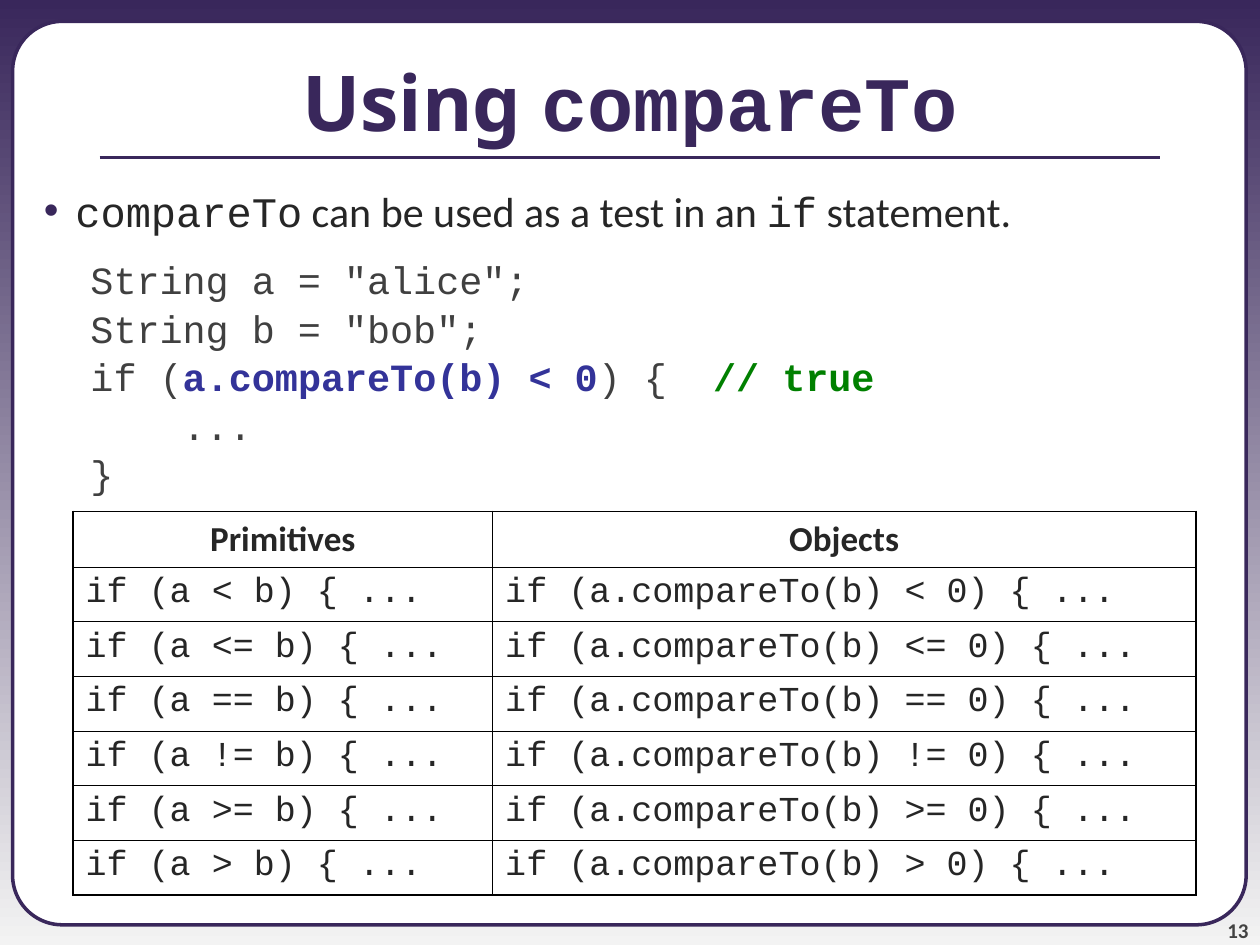
from lxml import etree
from pptx import Presentation
from pptx import util as u
from pptx.dml.color import RGBColor
from pptx.enum import shapes, text
from pptx.oxml.ns import qn

PURPLE = RGBColor(0x39, 0x27, 0x5B)
PALE = RGBColor(0xF3, 0xF3, 0xF3)
WHITE = RGBColor(0xFF, 0xFF, 0xFF)
BLACK = RGBColor(0, 0, 0)
INK = RGBColor(0x26, 0x26, 0x26)
GREY = RGBColor(0x42, 0x42, 0x42)
CODE_GREY = RGBColor(0x40, 0x40, 0x40)
BLUE = RGBColor(0x33, 0x33, 0x99)
GREEN = RGBColor(0, 0x80, 0)

SANS, MONO, HEADING = "Calibri", "Courier New", "Noto Sans"
OUTER, INNER = 1.08, 0.45

CODE = [
    [('String a = "alice";', None)],
    [('String b = "bob";', None)],
    [("if (", None), ("a.compareTo(b) < 0", BLUE), (") {  ", None), ("// true", GREEN)],
    [("    ...", None)],
    [("}", None)],
]
OPERATORS = ["<", "<=", "==", "!=", ">=", ">"]


def style(font, name=None, size=None, color=None, bold=None):
    if name:
        font.name = name
    if size:
        font.size = u.Pt(size)
    if color is not None:
        font.color.rgb = color
    if bold is not None:
        font.bold = bold


def add_span(para, wording, **look):
    span = para.add_run()
    span.text = wording
    style(span.font, **look)


def add_box(page, left, top, width, height, anchor=text.MSO_ANCHOR.TOP):
    box = page.shapes.add_textbox(*map(u.Inches, (left, top, width, height)))
    frame = box.text_frame
    frame.word_wrap = True
    frame.vertical_anchor = anchor
    return frame


def indent(para, margin, first_line):
    properties = para._p.get_or_add_pPr()
    properties.set("marL", str(u.Inches(margin)))
    properties.set("indent", str(u.Inches(first_line)))
    return properties


def add_bullet(para):
    properties = indent(para, 0.5, -0.25)
    color = etree.SubElement(properties, qn("a:buClr"))
    etree.SubElement(color, qn("a:srgbClr"), val=str(PURPLE))
    etree.SubElement(properties, qn("a:buFont"), typeface="Arial")
    etree.SubElement(properties, qn("a:buChar"), char="•")


def add_frame(page):
    """Gradient background, rounded white panel and title rule."""
    fill = page.background.fill
    fill.gradient()
    fill.gradient_angle = 270
    for stop, color, position in zip(fill.gradient_stops, (PURPLE, PALE), (0, 1)):
        stop.color.rgb = color
        stop.position = position

    panel = page.shapes.add_shape(shapes.MSO_SHAPE.ROUNDED_RECTANGLE,
                                  *map(u.Inches, (0.1, 0.17, 9.79, 7.17)))
    panel.adjustments[0] = 0.055
    panel.shadow.inherit = False
    panel.fill.solid()
    panel.fill.fore_color.rgb = WHITE
    panel.line.color.rgb = PURPLE
    panel.line.width = u.Pt(2)

    rule = page.shapes.add_connector(shapes.MSO_CONNECTOR.STRAIGHT,
                                     *map(u.Inches, (0.79, 1.25, 9.21, 1.25)))
    rule.line.color.rgb = PURPLE
    rule.line.width = u.Pt(2.25)
    etree.SubElement(rule._element.spPr, qn("a:effectLst"))


def add_page_number(page, number):
    frame = add_box(page, 9.08, 7.08, 0.83, 0.4, text.MSO_ANCHOR.BOTTOM)
    frame.margin_left = frame.margin_right = frame.margin_top = frame.margin_bottom = 0
    para = frame.paragraphs[0]
    para.text = number
    para.alignment = text.PP_ALIGN.RIGHT
    style(para.font, SANS, 12, GREY, True)


def add_title(page):
    para = add_box(page, 0, 0.17, 10, 1.25, text.MSO_ANCHOR.MIDDLE).paragraphs[0]
    para.alignment = text.PP_ALIGN.CENTER
    style(para.font, size=44, color=PURPLE, bold=True)
    add_span(para, "Using ", name=HEADING)
    add_span(para, "compareTo", name=MONO)


def add_body(page):
    frame = add_box(page, 0, 1.42, 10, 6.08)
    para = frame.paragraphs[0]
    add_bullet(para)
    style(para.font, size=24, color=INK)
    for wording, name in (("compareTo", MONO), (" can be used as a test in an ", SANS),
                          ("if", MONO), (" statement.", SANS)):
        add_span(para, wording, name=name)

    for number, line in enumerate(CODE):
        para = frame.add_paragraph()
        indent(para, 0.93, -0.31)
        para.line_spacing = 0.8
        para.space_before = u.Pt(6.6 if number else 17)
        style(para.font, MONO, 22, CODE_GREY)
        for wording, color in line:
            add_span(para, wording, color=color, bold=True if color else None)


def set_borders(cell, widths):
    properties = cell._tc.get_or_add_tcPr()
    for side, width in zip("LRTB", widths):
        line = etree.SubElement(properties, qn(f"a:ln{side}"), w=str(u.Pt(width)))
        fill = etree.SubElement(line, qn("a:solidFill"))
        etree.SubElement(fill, qn("a:srgbClr"), val=str(BLACK))


def add_comparison_table(page):
    rows = [("Primitives", "Objects")]
    rows += [(f"if (a {sign} b) {{ ...", f"if (a.compareTo(b) {sign} 0) {{ ...")
             for sign in OPERATORS]
    last_row, last_column = len(rows) - 1, len(rows[0]) - 1
    table = page.shapes.add_table(len(rows), len(rows[0]),
                                  *map(u.Inches, (0.58, 4.06, 8.92, 3.03))).table
    table.first_row = table.horz_banding = False
    for column, width in zip(table.columns, (3.33, 5.58)):
        column.width = u.Inches(width)
    for r, wordings in enumerate(rows):
        table.rows[r].height = u.Inches(0.43 if r else 0.44)
        for c, wording in enumerate(wordings):
            cell = table.cell(r, c)
            on_edge = (c == 0, c == last_column, r == 0, r == last_row)
            set_borders(cell, [OUTER if edge else INNER for edge in on_edge])
            cell.fill.background()
            para = cell.text_frame.paragraphs[0]
            para.text = wording
            para.alignment = text.PP_ALIGN.LEFT if r else text.PP_ALIGN.CENTER
            style(para.font, MONO if r else SANS, 20, INK, r == 0)


def main():
    deck = Presentation()
    deck.slide_width, deck.slide_height = u.Inches(10), u.Inches(7.5)
    page = deck.slides.add_slide(deck.slide_layouts[6])
    add_frame(page)
    add_page_number(page, "13")
    add_title(page)
    add_body(page)
    add_comparison_table(page)
    deck.save("out.pptx")


if __name__ == "__main__":
    main()
